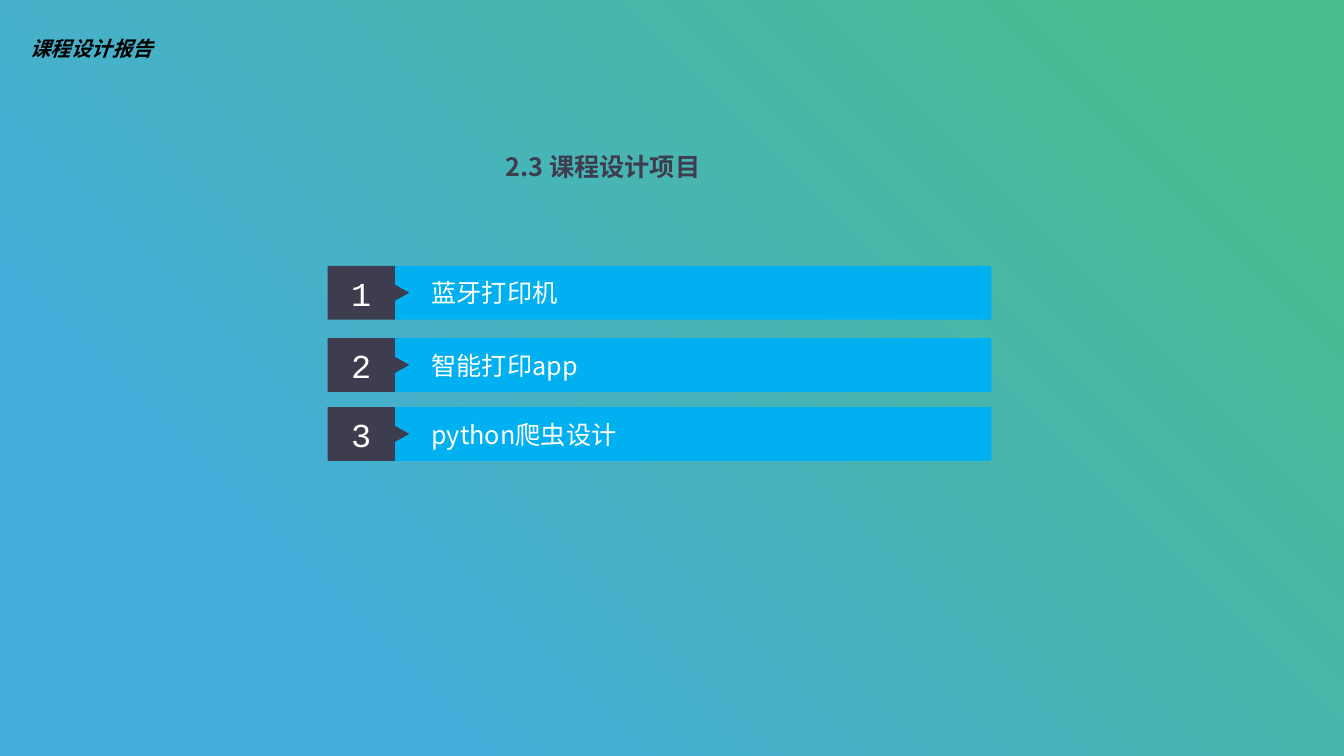
from lxml.etree import SubElement
from pptx import Presentation
from pptx.dml.color import RGBColor
from pptx.enum.shapes import MSO_SHAPE
from pptx.enum.text import MSO_ANCHOR, MSO_AUTO_SIZE, PP_ALIGN
from pptx.oxml.ns import qn
from pptx.util import Pt

WIDTH, HEIGHT = 1583.28, 890.64
DARK, BLUE, WHITE, BLACK = "3E3D4F", "00B0F0", "FFFFFF", "000000"
SANS, SANS_HEADER, MONO = "Noto Sans CJK SC", "Noto Sans CJK JP", "Courier New"

NUMBER_LEFT, NUMBER_WIDTH = 385.9, 79.2
BAR_LEFT, BAR_WIDTH = NUMBER_LEFT + NUMBER_WIDTH, 702.7
ROW_HEIGHT = 63.4
POINTER_WIDTH, POINTER_HEIGHT = 19.4, 17.3
PROJECTS = [(313.2, "蓝牙打印机"), (398.2, "智能打印app"), (479.5, "python爬虫设计")]


def color(value):
    return RGBColor.from_string(value)


class SlideBuilder:
    def __init__(self, slide):
        self.slide = slide

    def background(self, stops, angle):
        shape = self.shape(self.slide.shapes, MSO_SHAPE.RECTANGLE, 0, 0, WIDTH, HEIGHT, WHITE)
        shape.fill.gradient()
        shape.fill.gradient_angle = angle
        for stop, (position, value) in zip(shape.fill.gradient_stops, stops):
            stop.position = position
            stop.color.rgb = color(value)

    def shape(self, shapes, kind, left, top, width, height, fill):
        shape = shapes.add_shape(kind, Pt(left), Pt(top), Pt(width), Pt(height))
        shape.shadow.inherit = False
        shape.fill.solid()
        shape.fill.fore_color.rgb = color(fill)
        shape.line.fill.background()
        return shape

    def add_text(self, shape, text, size, font, value, align=PP_ALIGN.LEFT,
                 indent=0, bold=False, italic=False):
        paragraph = shape.text_frame.paragraphs[0]
        paragraph.alignment = align
        if indent:
            paragraph._p.get_or_add_pPr().set("indent", str(Pt(indent)))
        run = paragraph.add_run()
        run.text = text
        run.font.size = Pt(size)
        run.font.name = font
        run.font.bold = bold
        run.font.italic = italic
        run.font.color.rgb = color(value)
        SubElement(run._r.get_or_add_rPr(), qn("a:ea")).set("typeface", font)

    def text_box(self, left, top, width, height, inset=None, anchor=MSO_ANCHOR.TOP):
        box = self.slide.shapes.add_textbox(Pt(left), Pt(top), Pt(width), Pt(height))
        frame = box.text_frame
        frame.word_wrap = True
        frame.auto_size = MSO_AUTO_SIZE.SHAPE_TO_FIT_TEXT
        frame.vertical_anchor = anchor
        if inset is not None:
            frame.margin_left = frame.margin_right = Pt(inset)
            frame.margin_top = frame.margin_bottom = Pt(inset)
        return box

    def project_row(self, top, number, name):
        """Group a project bar with its number tile and pointer."""
        shapes = self.slide.shapes.add_group_shape().shapes
        bar = self.shape(shapes, MSO_SHAPE.RECTANGLE, BAR_LEFT, top, BAR_WIDTH, ROW_HEIGHT, BLUE)
        self.add_text(bar, name, 29.7, SANS, WHITE, indent=36)
        tile = self.shape(shapes, MSO_SHAPE.RECTANGLE, NUMBER_LEFT, top,
                          NUMBER_WIDTH, ROW_HEIGHT, DARK)
        self.add_text(tile, str(number), 39.5, MONO, WHITE, align=PP_ALIGN.CENTER)
        pointer = self.shape(shapes, MSO_SHAPE.ISOSCELES_TRIANGLE, BAR_LEFT - 1.4,
                             top + (ROW_HEIGHT - POINTER_HEIGHT) / 2,
                             POINTER_WIDTH, POINTER_HEIGHT, DARK)
        pointer.rotation = 90


def main():
    presentation = Presentation()
    presentation.slide_width, presentation.slide_height = Pt(WIDTH), Pt(HEIGHT)
    builder = SlideBuilder(presentation.slides.add_slide(presentation.slide_layouts[6]))

    builder.background([(0.2, "44ADDB"), (0.92, "4BBC8E")], 45)
    title = builder.text_box(588.2, 175, 358.6, 43.2, anchor=MSO_ANCHOR.MIDDLE)
    builder.add_text(title, "2.3 课程设计项目", 29.7, SANS, DARK, bold=True)
    for number, (top, name) in enumerate(PROJECTS, start=1):
        builder.project_row(top, number, name)
    header = builder.text_box(36, 42.5, 280, 28.8, inset=0)
    builder.add_text(header, "课程设计报告", 24, SANS_HEADER, BLACK, bold=True, italic=True)

    presentation.save("out.pptx")


if __name__ == "__main__":
    main()
